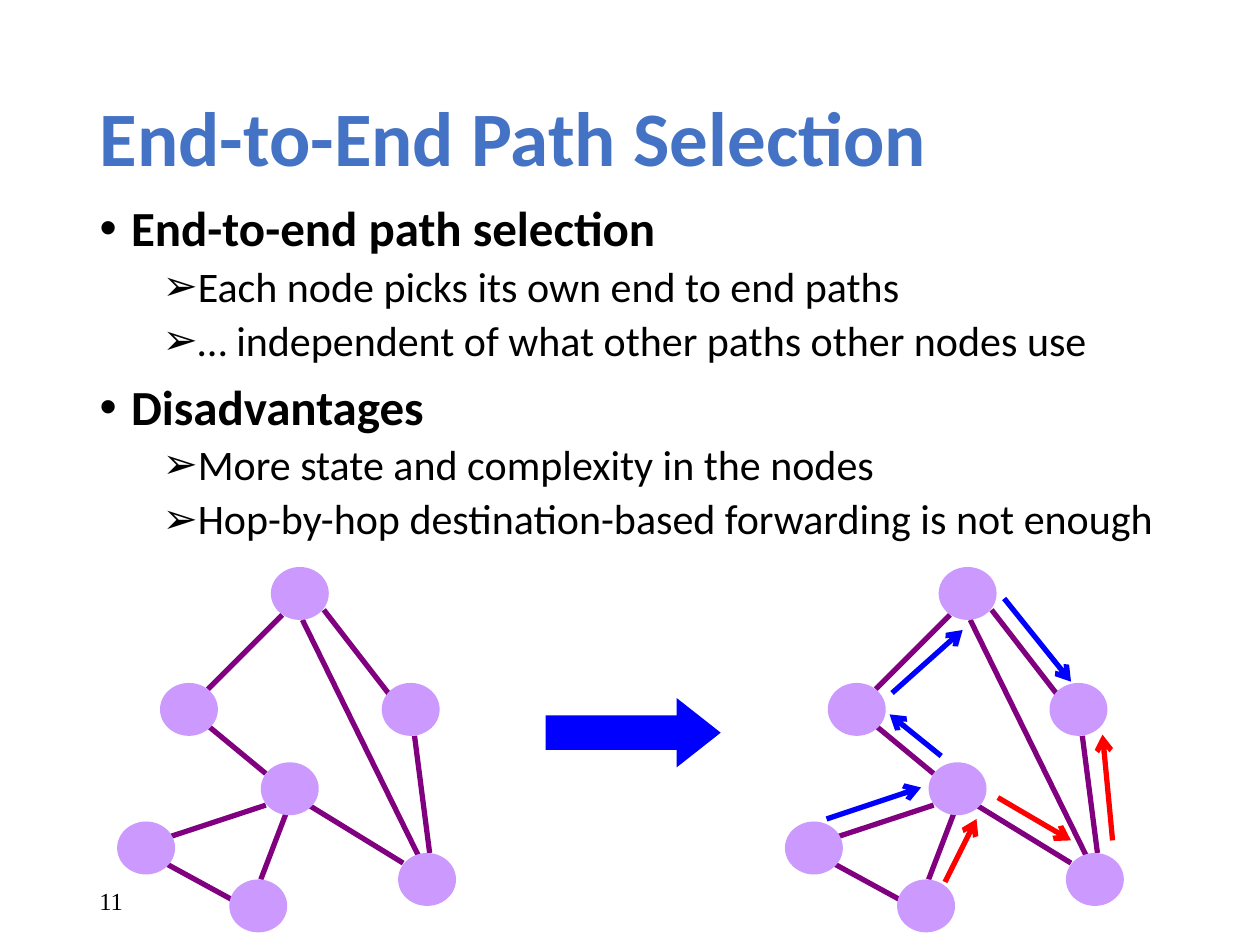
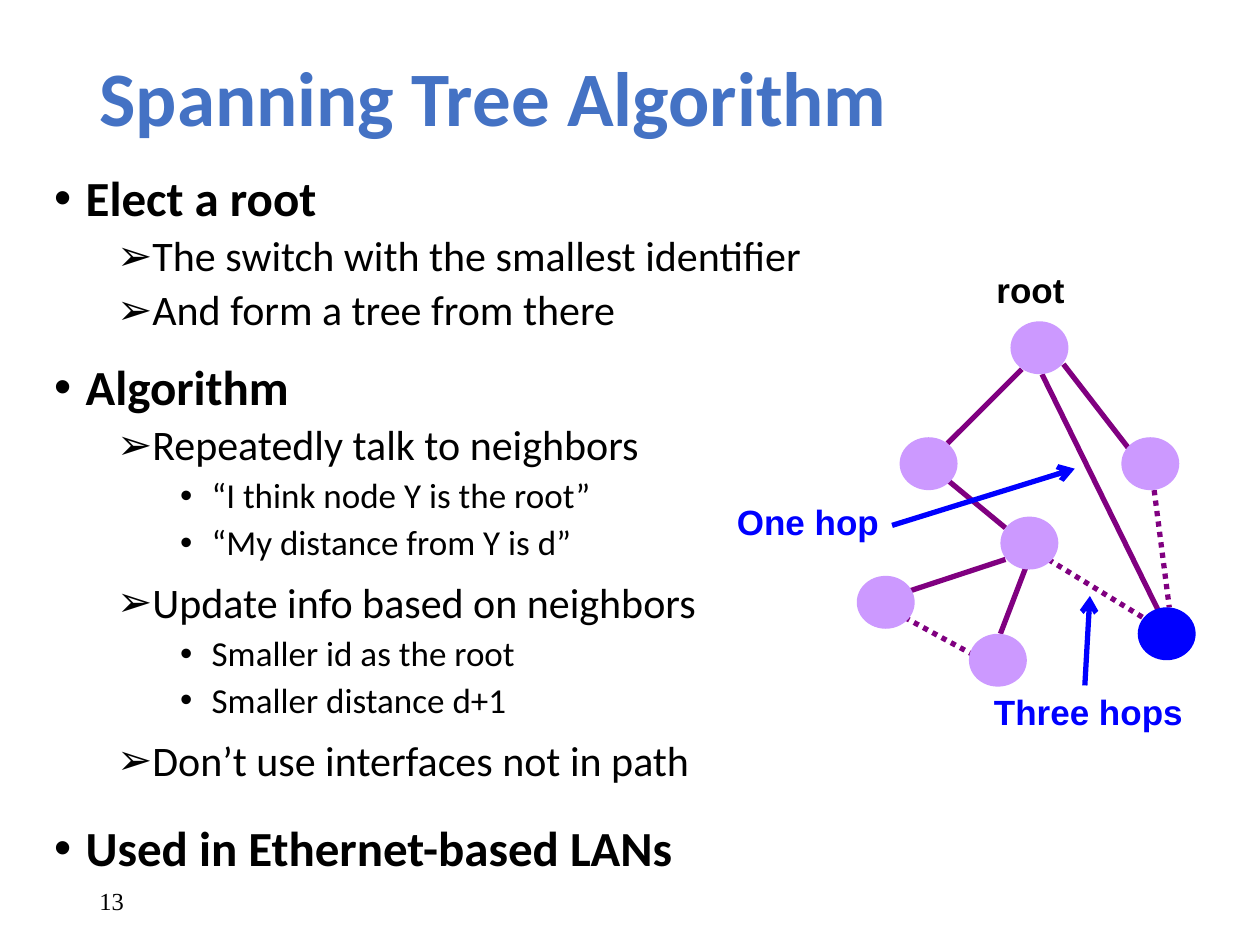
from dataclasses import dataclass

from pptx import Presentation
from pptx.dml.color import RGBColor
from pptx.enum.dml import MSO_LINE
from pptx.enum.shapes import MSO_CONNECTOR, MSO_SHAPE
from pptx.enum.text import MSO_ANCHOR, MSO_AUTO_SIZE, PP_ALIGN
from pptx.oxml.ns import qn
from pptx.util import Inches, Pt
from lxml import etree

STRAIGHT = MSO_CONNECTOR.STRAIGHT
DOTS = MSO_LINE.ROUND_DOT
OVAL = MSO_SHAPE.OVAL
ARROW = MSO_SHAPE.RIGHT_ARROW
MIDDLE = MSO_ANCHOR.MIDDLE
FIXED = MSO_AUTO_SIZE.NONE
LEFT = PP_ALIGN.LEFT
COLS, ROWS = 100, 75


@dataclass(frozen=True)
class Theme:
    """Colours, fonts, type sizes and list levels."""
    title: str = "4472C4"
    ink: str = "000000"
    edge: str = "800080"
    node: str = "CC99FF"
    blue: str = "0000FF"
    red: str = "FF0000"
    main: str = "Calibri"
    label: str = "Arial"
    foot: str = "Times New Roman"
    head: int = 44
    tag: int = 20
    page: int = 14
    stroke: int = 3
    levels: tuple = (("•", 28, True, 10), ("➢", 24, False, 5), ("•", 20, False, 5))


THEME = Theme()
OVAL_SIZE = (4.6, 4.2)
NODES = {
    "root": (12.2, 0), "left": (3.4, 9.2), "right": (21, 9.2),
    "hub": (11.4, 15.5), "end": (22.3, 22.7), "west": (0, 20.2),
    "south": (8.9, 24.8),
}
EDGES = {
    ("root", "left"): (13.1, 3.8, 7.2, 9.7),
    ("root", "right"): (16.4, 3.4, 21.9, 10.5),
    ("left", "hub"): (7.2, 12.6, 11.8, 16.4),
    ("hub", "end"): (15.2, 18.9, 22.7, 23.5),
    ("right", "end"): (23.6, 13.4, 24.8, 22.7),
    ("root", "end"): (14.7, 4.2, 24, 23.1),
    ("west", "hub"): (4.2, 21.4, 11.8, 18.9),
    ("south", "hub"): (11.4, 24.8, 13.5, 19.3),
    ("south", "west"): (9.3, 26.5, 3.8, 23.5),
}


def write(para, text, size, color=THEME.ink, font=THEME.main, bold=False):
    """Add formatted text to a paragraph."""
    run = para.add_run()
    run.text = text
    run.font.size = Pt(size)
    run.font.name = font
    run.font.bold = bold
    run.font.color.rgb = RGBColor.from_string(color)


class Deck:
    """Hold the style and the current slide, and draw on its grid."""

    def __init__(self, theme):
        """Open an empty deck."""
        self.theme = theme
        self.prs = Presentation()
        self.prs.slide_width, self.prs.slide_height = Inches(10), Inches(7.5)
        self.slide = None

    def spot(self, col, row):
        """Turn a column and a row into lengths."""
        return (int(self.prs.slide_width * col / COLS),
                int(self.prs.slide_height * row / ROWS))

    def place(self, shape, box):
        """Move a shape to a grid box."""
        shape.left, shape.top = self.spot(*box[:2])
        shape.width, shape.height = self.spot(*box[2:])

    def start(self, title, top, page):
        """Begin a slide with its title and page number."""
        self.slide = self.prs.slides.add_slide(self.prs.slide_layouts[1])
        shape = self.slide.shapes.title
        self.place(shape, (6.9, top, 86.2, 14.5))
        frame = shape.text_frame
        frame.auto_size, frame.vertical_anchor = FIXED, MIDDLE
        para = frame.paragraphs[0]
        para.alignment, para.line_spacing = LEFT, 0.9
        write(para, title, self.theme.head, color=self.theme.title, bold=True)
        self.label(page, (6.9, 69.5, 22.5, 4), wrap=True,
                   size=self.theme.page, font=self.theme.foot)

    def bullets(self, box, items):
        """Fill the body with (level, text, space after) items."""
        body = self.slide.placeholders[1]
        self.place(body, box)
        frame = body.text_frame
        frame.auto_size = FIXED
        for i, (level, text, after) in enumerate(items):
            mark, size, bold, before = self.theme.levels[level]
            para = frame.add_paragraph() if i else frame.paragraphs[0]
            para.level = level
            props = para._p.get_or_add_pPr()
            props.set("marL", str(Inches(0.25 + 0.5 * level)))
            props.set("indent", str(Inches(-0.25)))
            etree.SubElement(props, qn("a:buFont")).set("typeface", self.theme.label)
            etree.SubElement(props, qn("a:buChar")).set("char", mark)
            para.alignment, para.line_spacing = LEFT, 0.9
            para.space_before = Pt(before if i else 0)
            para.space_after = Pt(after)
            write(para, text, size, bold=bold)

    def label(self, text, box, wrap=False, **form):
        """Add a text box of one line."""
        frame = self.slide.shapes.add_textbox(
            *self.spot(*box[:2]), *self.spot(*box[2:])).text_frame
        frame.word_wrap, frame.vertical_anchor = wrap, MIDDLE
        write(frame.paragraphs[0], text, **form)

    def tag(self, text, box, color):
        """Add a bold label to a network."""
        self.label(text, box, size=self.theme.tag, color=color,
                   font=self.theme.label, bold=True)

    def line(self, ends, color, dash=None, tip=False):
        """Draw a straight line or arrow."""
        link = self.slide.shapes.add_connector(
            STRAIGHT, *self.spot(*ends[:2]), *self.spot(*ends[2:]))
        link.line.color.rgb = RGBColor.from_string(color)
        link.line.width = Pt(self.theme.stroke)
        if dash:
            link.line.dash_style = dash
        props = link._element.spPr
        if tip:
            etree.SubElement(props.find(qn("a:ln")), qn("a:tailEnd")).set("type", "arrow")
        etree.SubElement(props, qn("a:effectLst"))

    def shape(self, kind, box, color):
        """Draw a flat preset shape."""
        shape = self.slide.shapes.add_shape(
            kind, *self.spot(*box[:2]), *self.spot(*box[2:]))
        shape.shadow.inherit = False
        shape.fill.solid()
        shape.fill.fore_color.rgb = RGBColor.from_string(color)
        shape.line.fill.background()
        return shape

    def graph(self, col, row, dotted=(), marked=()):
        """Draw the network from its top left corner."""
        for pair, (x1, y1, x2, y2) in EDGES.items():
            self.line((col + x1, row + y1, col + x2, row + y2),
                      self.theme.edge, dash=DOTS if pair in dotted else None)
        for name, (x, y) in NODES.items():
            color = self.theme.blue if name in marked else self.theme.node
            self.shape(OVAL, (col + x, row + y, *OVAL_SIZE), color)


def choice(deck):
    """Build the slide on path selection."""
    look = deck.theme
    deck.start("End-to-End Path Selection", 4, "11")
    deck.bullets((6.9, 15.7, 86.2, 47.6), [
        (0, "End-to-end path selection", 0),
        (1, "Each node picks its own end to end paths", 0),
        (1, "… independent of what other paths other nodes use", 0),
        (0, "Disadvantages", 0),
        (1, "More state and complexity in the nodes", 0),
        (1, "Hop-by-hop destination-based forwarding is not enough", 0),
    ])
    for col in (9.3, 62.3):
        deck.graph(col, 45)
    arrow = deck.shape(ARROW, (43.3, 55.4, 13.9, 5.5), look.blue)
    arrow.adjustments[1] = 0.635
    routes = {
        look.blue: [(65.6, 65, 73.1, 62.5), (74.7, 60, 70.6, 56.7),
                    (70.8, 55, 76.4, 50), (79.7, 47.5, 85, 54.1)],
        look.red: [(75, 70, 77.5, 65), (79.2, 63.3, 85, 66.7),
                   (88.3, 66.7, 87.5, 58.3)],
    }
    for color, hops in routes.items():
        for ends in hops:
            deck.line(ends, color, tip=True)


def tree(deck):
    """Build the slide on the spanning tree."""
    look = deck.theme
    deck.start("Spanning Tree Algorithm", 0.8, "13")
    deck.bullets((3.3, 13.3, 92.5, 60), [
        (0, "Elect a root", 0),
        (1, "The switch with the smallest identifier", 0),
        (1, "And form a tree from there", 6),
        (0, "Algorithm", 0),
        (1, "Repeatedly talk to neighbors", 0),
        (2, "“I think node Y is the root”", 0),
        (2, "“My distance from Y is d”", 6),
        (1, "Update info based on neighbors", 0),
        (2, "Smaller id as the root", 0),
        (2, "Smaller distance d+1", 6),
        (1, "Don’t use interfaces not in path", 12),
        (0, "Used in Ethernet-based LANs", 0),
    ])
    deck.graph(68, 25.5, marked=("end",),
               dotted=(("hub", "end"), ("right", "end"), ("south", "west")))
    deck.tag("root", (78.1, 20.8, 7.4, 4.3), look.ink)
    deck.tag("One hop", (57.5, 39.2, 13.3, 4.3), look.blue)
    deck.tag("Three hops", (77.9, 54.3, 17, 4.3), look.blue)
    for ends in ((70.8, 41.7, 85.3, 37.2), (86.1, 54.4, 86.5, 47.3)):
        deck.line(ends, look.blue, tip=True)


def main():
    """Build and save the deck."""
    deck = Deck(THEME)
    choice(deck)
    tree(deck)
    deck.prs.save("out.pptx")


if __name__ == "__main__":
    main()
